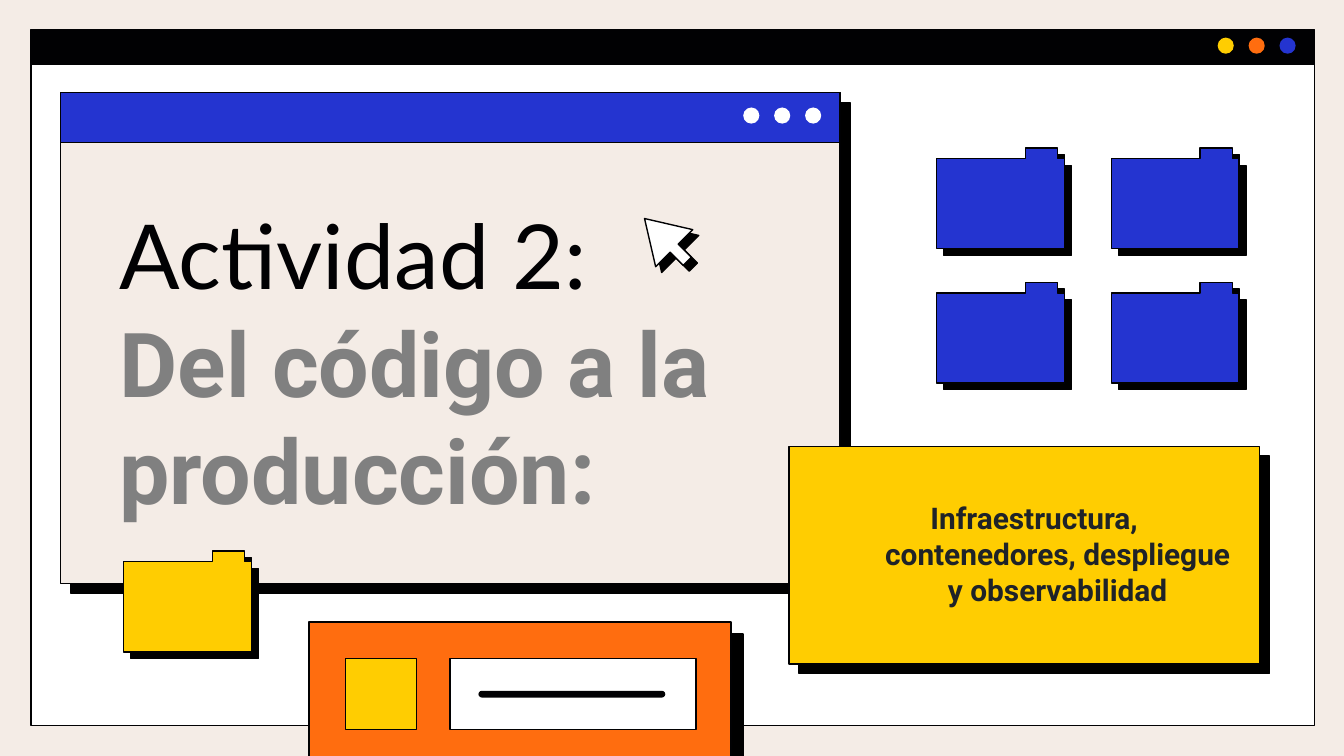
from lxml import etree
from pptx import Presentation
from pptx.dml.color import RGBColor
from pptx.enum.shapes import MSO_SHAPE
from pptx.enum.text import MSO_ANCHOR, PP_ALIGN
from pptx.oxml.ns import qn
from pptx.util import Inches, Pt

RECT, OVAL = MSO_SHAPE.RECTANGLE, MSO_SHAPE.OVAL
ROUND, ARROW = MSO_SHAPE.ROUNDED_RECTANGLE, MSO_SHAPE.UP_ARROW
TOP, LEFT, CENTER = MSO_ANCHOR.TOP, PP_ALIGN.LEFT, PP_ALIGN.CENTER

CREAM = RGBColor(0xF4, 0xEC, 0xE6)
WHITE = RGBColor(0xFF, 0xFF, 0xFF)
BLACK = RGBColor(0x01, 0x01, 0x03)
BLUE = RGBColor(0x24, 0x34, 0xD0)
ORANGE = RGBColor(0xFF, 0x6D, 0x0F)
YELLOW = RGBColor(0xFF, 0xCD, 0x01)
GRAY = RGBColor(0x80, 0x80, 0x80)
INK = RGBColor(0x1F, 0x23, 0x28)

TITLE = [
    ("Actividad 2:", {"name": "Lato", "size": Pt(48), "bold": False}, BLACK),
    ("Del código a la producción:", {"name": "Roboto", "size": Pt(48), "bold": True}, GRAY),
]
TOPIC = [
    ("Infraestructura, contenedores, despliegue y observabilidad",
     {"name": "Roboto", "size": Pt(16), "bold": True}, INK),
]
SCREEN = [
    ((0.23, 0.48, 9.55, 4.92), WHITE, 0),
    ((0.23, 0.22, 9.55, 0.26), BLACK, 0),
]
WINDOW = [
    ((0.45, 0.69, 5.8, 3.65), CREAM, 7.5),
    ((0.45, 0.69, 5.8, 0.37), BLUE, 0),
]
NOTE = [((5.87, 3.32, 3.5, 1.62), YELLOW, 7.5)]
CARD = [
    ((2.3, 4.63, 3.14, 1.06), ORANGE, 9),
    ((2.57, 4.9, 0.53, 0.53), YELLOW, 0),
    ((3.35, 4.9, 1.83, 0.53), WHITE, 0),
]
DOTS = [
    (9.06, 0.28, (YELLOW, ORANGE, BLUE)),
    (5.53, 0.8, (WHITE, WHITE, WHITE)),
]
DOT, STEP = 0.12, 0.23
FOLDERS = [(x, y, BLUE) for x in (8.27, 6.97) for y in (1.1, 2.1)]
FOLDERS.append((0.92, 4.1, YELLOW))
TAB = [(0.66, 0), (0.66, 0.08), (0, 0.08), (0, 0.75),
       (0.95, 0.75), (0.95, 0.08), (0.9, 0.08), (0.9, 0)]

prs = Presentation()
prs.slide_width = Inches(10)
prs.slide_height = prs.slide_width * 9 // 16
slide = prs.slides.add_slide(prs.slide_layouts[6])
slide.background.fill.solid()
slide.background.fill.fore_color.rgb = CREAM
shapes = slide.shapes


def paint(shape, fill, drop=0, edge=True):
    shape.fill.solid()
    shape.fill.fore_color.rgb = fill
    if edge:
        shape.line.color.rgb = BLACK
        shape.line.width = Pt(0.75)
    else:
        shape.line.fill.background()
    shape.shadow.inherit = False
    if drop:
        effects = shape._element.spPr.find(qn("a:effectLst"))
        shade = etree.SubElement(effects, qn("a:outerShdw"), dist=str(Pt(drop)),
                                 dir=str(44 * 60000), algn="bl", rotWithShape="0")
        etree.SubElement(shade, qn("a:srgbClr"), val="000000")


def draw(kind, box, fill, drop=0, edge=True):
    shape = shapes.add_shape(kind, *map(Inches, box))
    paint(shape, fill, drop, edge)
    return shape


def panels(rows):
    for box, fill, drop in rows:
        draw(RECT, box, fill, drop)


def write(box, runs, align):
    frame = shapes.add_textbox(*map(Inches, box)).text_frame
    form = {"word_wrap": True, "vertical_anchor": TOP}
    for side in ("left", "top", "right", "bottom"):
        form[f"margin_{side}"] = Inches(0.1)
    for key, value in form.items():
        setattr(frame, key, value)
    para = frame.paragraphs[0]
    para.alignment = align
    for i, (text, style, color) in enumerate(runs):
        if i:
            para.add_line_break()
        run = para.add_run()
        run.text = text
        for key, value in style.items():
            setattr(run.font, key, value)
        run.font.color.rgb = color
    return para


panels(SCREEN)
panels(WINDOW)
for x, y, fills in DOTS:
    for i, fill in enumerate(fills):
        draw(OVAL, (x + i * STEP, y, DOT, DOT), fill, edge=False)
write((0.79, 1.39, 5.12, 2.63), TITLE, LEFT)

panels(NOTE)
topic = write((5.98, 3.62, 3.28, 0.78), TOPIC, CENTER)
props = topic._p.get_or_add_pPr()
props.set("marL", str(Inches(0.5)))
props.set("indent", str(Inches(-0.35)))

panels(CARD)
bar = draw(ROUND, (3.56, 5.14, 1.39, 0.05), BLACK, edge=False)
bar.adjustments[0] = 0.5

cursor = draw(ARROW, (4.76, 1.56, 0.39, 0.45), WHITE, 4.5)
cursor.rotation = 315
cursor.adjustments[0], cursor.adjustments[1] = 0.22, 0.8

for x, y, fill in FOLDERS:
    points = [(Inches(x + dx), Inches(y + dy)) for dx, dy in TAB]
    pen = shapes.build_freeform(*points[0])
    pen.add_line_segments(points[1:], close=True)
    paint(pen.convert_to_shape(), fill, 5.2)

prs.save("out.pptx")
